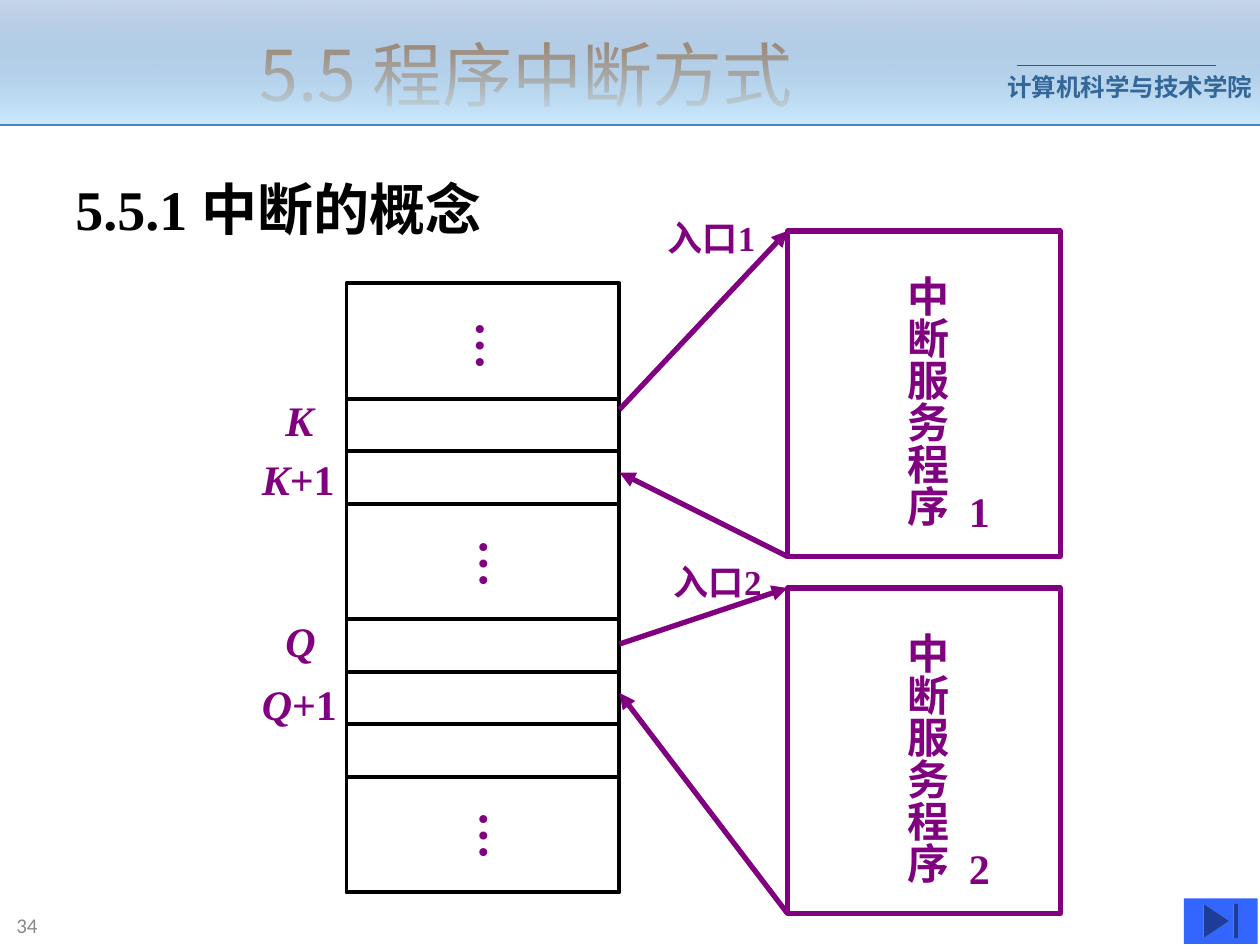
"""Build the slide on the concept of program interrupts."""
from lxml import etree
from pptx import Presentation
from pptx.dml.color import RGBColor
from pptx.enum import shapes, text
from pptx.oxml.ns import qn
from pptx.util import Pt

PURPLE = RGBColor(0x80, 0x00, 0x80)
BLACK = RGBColor(0x00, 0x00, 0x00)
ORANGE = RGBColor(0xCC, 0x66, 0x00)
NAVY = RGBColor(0x33, 0x66, 0x99)
GREY = RGBColor(0x89, 0x89, 0x89)
STEEL = RGBColor(0x4F, 0x81, 0xBD)
SKY = RGBColor(0xCC, 0xEC, 0xFF)
RULE = RGBColor(0x00, 0x66, 0xCC)
BUTTON = RGBColor(0x33, 0x66, 0xFF)

prs = Presentation()
prs.slide_width, prs.slide_height = Pt(720), Pt(540)
s = prs.slides.add_slide(prs.slide_layouts[5])


def add_text(content, x, y, w, h, sp=None, size=24, font="Times New Roman",
             color=PURPLE, bold=True, italic="", wrap=False, vertical=False,
             align=text.PP_ALIGN.LEFT, anchor=text.MSO_ANCHOR.TOP, inset=7.2):
    sp = sp or s.shapes.add_textbox(0, 0, 0, 0)
    sp.left, sp.top, sp.width, sp.height = Pt(x), Pt(y), Pt(w), Pt(h)
    tf = sp.text_frame
    tf.word_wrap, tf.vertical_anchor = wrap, anchor
    tf.auto_size = text.MSO_AUTO_SIZE.NONE
    side, end = (3.6, 7.2) if vertical else (inset, 3.6)
    tf.margin_left = tf.margin_right = Pt(side)
    tf.margin_top = tf.margin_bottom = Pt(end)
    if vertical:
        tf._txBody.bodyPr.set("vert", "eaVert")
    p = tf.paragraphs[0]
    p.alignment = align
    for part, slanted in ((italic, True), (content, False)):
        if part:
            r = p.add_run()
            r.text = part
            r.font.size, r.font.name = Pt(size), font
            r.font.bold, r.font.italic = bold, slanted
            r.font.color.rgb = color


def add_line(x1, y1, x2, y2, color=PURPLE, width=3, arrow=True):
    line = s.shapes.add_connector(shapes.MSO_CONNECTOR.STRAIGHT,
                                  Pt(x1), Pt(y1), Pt(x2), Pt(y2))
    line.line.color.rgb, line.line.width = color, Pt(width)
    if arrow:
        etree.SubElement(line.line._get_or_add_ln(), qn("a:tailEnd"), type="triangle")
    etree.SubElement(line._element.spPr, qn("a:effectLst"))


band = s.shapes.add_shape(shapes.MSO_SHAPE.RECTANGLE, 0, 0, Pt(720), Pt(71.5))
band.shadow.inherit = False
band.line.fill.background()
band.fill.gradient()
band.fill.gradient_angle = 270
for stop, color, position in zip(band.fill.gradient_stops, (STEEL, SKY), (0, 1)):
    stop.color.rgb, stop.position = color, position
first_color = next(band._element.spPr.iter(qn("a:srgbClr")))
etree.SubElement(first_color, qn("a:alpha"), val="32000")

add_text("计算机科学与技术学院", 575.5, 37.4, 142, 24.5, size=14, font="Arial",
         color=NAVY, wrap=True, inset=0)
add_line(581, 37.5, 695, 37.5, RULE, 0.75, False)
add_line(0, 71.5, 720, 71.5, STEEL, 1.5, False)
add_text("34", 2.2, 517, 159, 23, size=12, font="Calibri", color=GREY, bold=False,
         wrap=True, anchor=text.MSO_ANCHOR.MIDDLE)
add_text("5.5 程序中断方式", 54, 12, 493, 60, sp=s.shapes.title, size=40,
         font="Noto Sans CJK SC", color=ORANGE, bold=False, wrap=True,
         align=text.PP_ALIGN.CENTER, anchor=text.MSO_ANCHOR.MIDDLE)
add_text("5.5.1 中断的概念", 36, 96, 290, 46, size=32, color=BLACK, wrap=True)

boxes = []
y = 162
for height in (66, 30, 30, 66, 30, 30, 30, 66):
    boxes.append((198, y, 156, height, BLACK, 2.25))
    y += height
service_tops = {"1": 132, "2": 336}
boxes += [(450, top, 156, 186, PURPLE, 3) for top in service_tops.values()]
for x, y, w, h, color, width in boxes:
    sp = s.shapes.add_shape(shapes.MSO_SHAPE.RECTANGLE, Pt(x), Pt(y), Pt(w), Pt(h))
    sp.shadow.inherit = False
    sp.fill.background()
    sp.line.color.rgb, sp.line.width = color, Pt(width)

for x, y in ((256.5, 176.5), (258.5, 301), (258.5, 456.5)):
    add_text("…", x, y, 47.5, 35.5, size=28, vertical=True)

for letter, y, next_y in (("K", 222, 255.5), ("Q", 348, 384)):
    add_text("", 156, y, 31, 36, italic=letter)
    add_text("+1", 142.5, next_y, 56.5, 36, italic=letter)

for number, top in service_tops.items():
    add_text("中断服务程序", 504.7, top + 18.3, 43.2, 151.2, vertical=True)
    add_text(number, 546.5, top + 142, 26, 36)

for ends in ((354, 234, 450, 132), (450, 318, 354, 270),
             (354, 368, 450, 336), (450, 522, 354, 396)):
    add_line(*ends)
add_text("入口1", 374.5, 120, 69, 31.5, size=20)
add_text("入口2", 378, 317, 84, 31.5, size=20, wrap=True)

button = s.shapes.add_shape(shapes.MSO_SHAPE.ACTION_BUTTON_END,
                            Pt(676.5), Pt(513.3), Pt(42.2), Pt(26))
button.shadow.inherit = False
button.fill.solid()
button.fill.fore_color.rgb = BUTTON
button.line.fill.background()

prs.save("out.pptx")
